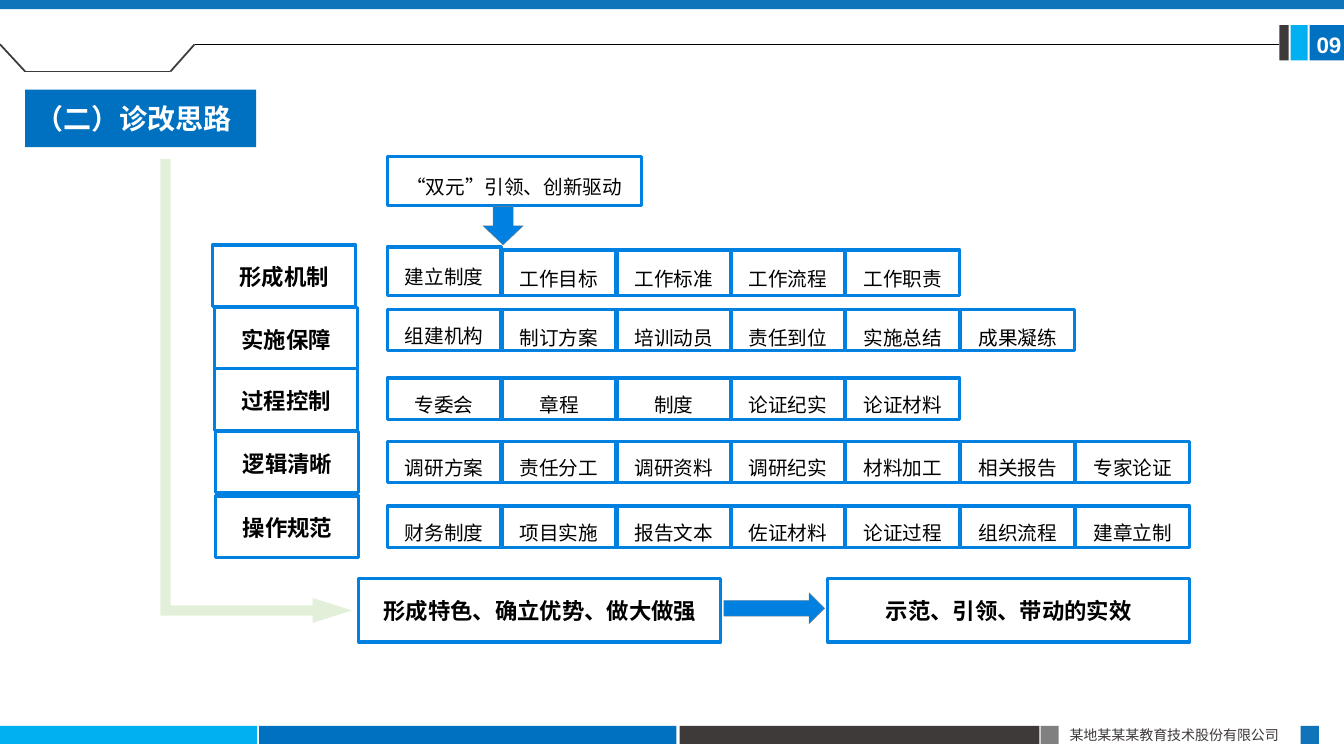
from lxml.etree import SubElement
from pptx import Presentation
from pptx.dml.color import RGBColor
from pptx.enum.shapes import MSO_CONNECTOR, MSO_SHAPE
from pptx.enum.text import MSO_ANCHOR, MSO_AUTO_SIZE, PP_ALIGN
from pptx.oxml.ns import qn
from pptx.util import Pt

PX = 9144
SANS = "Noto Sans CJK SC"
WHITE = RGBColor(0xFF, 0xFF, 0xFF)
BLACK = RGBColor(0, 0, 0)
BLUE = RGBColor(0x00, 0x70, 0xC0)
BAND_BLUE = RGBColor(0x10, 0x74, 0xBB)
SKY = RGBColor(0x00, 0xB0, 0xF0)
BRIGHT = RGBColor(0x00, 0x81, 0xE2)
CHARCOAL = RGBColor(0x3E, 0x3A, 0x39)
GRAY = RGBColor(0x80, 0x80, 0x80)
PALE_GREEN = RGBColor(0xE2, 0xF0, 0xD9)

COLUMN_PITCH = 113.8
STAGES = [
    ("形成机制", 0, 0, 5, 45, MSO_ANCHOR.TOP,
     ["建立制度", "工作目标", "工作标准", "工作流程", "工作职责"]),
    ("实施保障", 2, 62, 64, 41, MSO_ANCHOR.TOP,
     ["组建机构", "制订方案", "培训动员", "责任到位", "实施总结", "成果凝练"]),
    ("过程控制", 2, 123, 132, 41, MSO_ANCHOR.MIDDLE,
     ["专委会", "章程", "制度", "论证纪实", "论证材料"]),
    ("逻辑清晰", 3, 185, 195, 41, MSO_ANCHOR.MIDDLE,
     ["调研方案", "责任分工", "调研资料", "调研纪实", "材料加工", "相关报告", "专家论证"]),
    ("操作规范", 3, 249, 259, 41, MSO_ANCHOR.MIDDLE,
     ["财务制度", "项目实施", "报告文本", "佐证材料", "论证过程", "组织流程", "建章立制"]),
]


def emu(*lengths):
    """Turn px lengths into EMU."""
    return [round(length * PX) for length in lengths]


def add_block(slide, box, fill=None, line=None, weight=2.25, preset=MSO_SHAPE.RECTANGLE):
    """Add a preset shape with an optional fill and outline."""
    block = slide.shapes.add_shape(preset, *emu(*box))
    block.shadow.inherit = False
    if fill is None:
        block.fill.background()
    else:
        block.fill.solid()
        block.fill.fore_color.rgb = fill
    if line is None:
        block.line.fill.background()
    else:
        block.line.color.rgb = line
        block.line.width = Pt(weight)
    return block


def add_rule(slide, start, end, color, weight):
    """Add a straight line without a shadow."""
    rule = slide.shapes.add_connector(MSO_CONNECTOR.STRAIGHT, *emu(*start, *end))
    rule.line.color.rgb = color
    rule.line.width = Pt(weight)
    SubElement(rule._element.spPr, qn("a:effectLst"))


def write(holder, wording, size, color, bold=False, font=SANS,
          align=PP_ALIGN.LEFT, anchor=MSO_ANCHOR.TOP, spacing=1.0):
    """Write one paragraph of one run into a shape."""
    frame = holder.text_frame
    frame.word_wrap = True
    frame.auto_size = MSO_AUTO_SIZE.NONE
    frame.vertical_anchor = anchor
    paragraph = frame.paragraphs[0]
    paragraph.alignment = align
    paragraph.line_spacing = spacing
    run = paragraph.add_run()
    run.text = wording
    run.font.size = Pt(size)
    run.font.bold = bold
    run.font.color.rgb = color
    run.font.name = font
    SubElement(run.font._element, qn("a:ea")).set("typeface", SANS)


def add_cell(slide, box, wording, size=14, bold=False, anchor=MSO_ANCHOR.MIDDLE):
    """Add a blue-outlined box with centred wording."""
    cell = add_block(slide, box, line=BRIGHT)
    write(cell, wording, size, BLACK, bold, align=PP_ALIGN.CENTER, anchor=anchor, spacing=1.5)


def add_footer(slide, left, top):
    """Place the bottom colour bars and the company name."""
    bars = [(0, 255, SKY), (257, 414, BLUE), (674, 357, CHARCOAL),
            (1032, 18, GRAY), (1290, 18, BAND_BLUE)]
    for offset, width, color in bars:
        add_block(slide, (left + offset, top, width, 18), color)
    company = slide.shapes.add_textbox(*emu(left + 1051, top - 4, 240, 27))
    write(company, "某地某某某教育技术股份有限公司", 10, CHARCOAL, align=PP_ALIGN.JUSTIFY)


def add_header(slide, left, top):
    """Place the top band, the notched rule and the page number."""
    add_block(slide, (left, top, 1333, 9), BAND_BLUE)
    for offset, width, color in [(1299, 35, BLUE), (1280, 17, SKY), (1269, 9, CHARCOAL)]:
        add_block(slide, (left + offset, top + 25, width, 35), color)
    notch = [(left + x, top + y) for x, y in [(0, 44), (25, 71), (169, 71), (193, 44)]]
    for start, end in zip(notch, notch[1:]):
        add_rule(slide, start, end, CHARCOAL, 1.25)
    add_rule(slide, notch[-1], (left + 1269, top + 44), BLACK, 0.5)
    page_number = slide.shapes.add_textbox(*emu(left + 1296, top + 26, 50, 37))
    write(page_number, "09", 16, WHITE, True, "Arial")


def add_title(slide, left, top):
    """Place the section title."""
    title = add_block(slide, (left, top, 229, 57), BLUE)
    write(title, "（二）诊改思路", 20, WHITE, True, "Calibri", anchor=MSO_ANCHOR.MIDDLE)


def add_driver(slide, left, top):
    """Place the guiding idea and its arrow down to the stages."""
    add_cell(slide, (left, top, 252, 49), "“双元”引领、创新驱动")
    add_block(slide, (left + 95, top + 50, 40, 38), BRIGHT, GRAY, 0.25, MSO_SHAPE.DOWN_ARROW)


def add_stages(slide, left, top):
    """Place each stage label with its row of measures."""
    for stage, shift, label_top, row_top, height, anchor, measures in STAGES:
        add_cell(slide, (left + shift, top + label_top, 142, 61), stage, 16, True, MSO_ANCHOR.TOP)
        for column, measure in enumerate(measures):
            x = left + 173 + round(column * COLUMN_PITCH)
            lift = 3 if stage == "形成机制" and column == 0 else 0
            add_cell(slide, (x, top + row_top - lift, 113, height + lift), measure,
                     anchor=anchor if column else MSO_ANCHOR.MIDDLE)


def add_outcome(slide, left, top):
    """Place the two results and the arrow between them."""
    for offset, result in [(0, "形成特色、确立优势、做大做强"), (465, "示范、引领、带动的实效")]:
        add_cell(slide, (left + offset, top, 359, 63), result, 16, True, MSO_ANCHOR.TOP)
    add_block(slide, (left + 362, top + 14, 100, 31), BRIGHT, GRAY, 0.25, MSO_SHAPE.RIGHT_ARROW)


def add_path_arrow(slide, left, top, width, height):
    """Place the bent arrow that runs down and then right across the box."""
    inset = (width - height) / 2
    bend = add_block(slide, (left + inset, top - inset, height, width), PALE_GREEN,
                     preset=MSO_SHAPE.BENT_UP_ARROW)
    bend.rotation = 90
    for index, ratio in enumerate((0.054, 0.065, 0.205)):
        bend.adjustments[index] = ratio


def main():
    """Build the slide and save it."""
    deck = Presentation()
    deck.slide_width, deck.slide_height = emu(1333, 750)
    slide = deck.slides.add_slide(deck.slide_layouts[6])
    add_footer(slide, 0, 720)
    add_header(slide, 0, 0)
    add_title(slide, 25, 89)
    add_driver(slide, 384, 155)
    add_stages(slide, 211, 243)
    add_outcome(slide, 356, 574)
    add_path_arrow(slide, 159, 158, 190, 460)
    deck.save("out.pptx")


if __name__ == "__main__":
    main()
